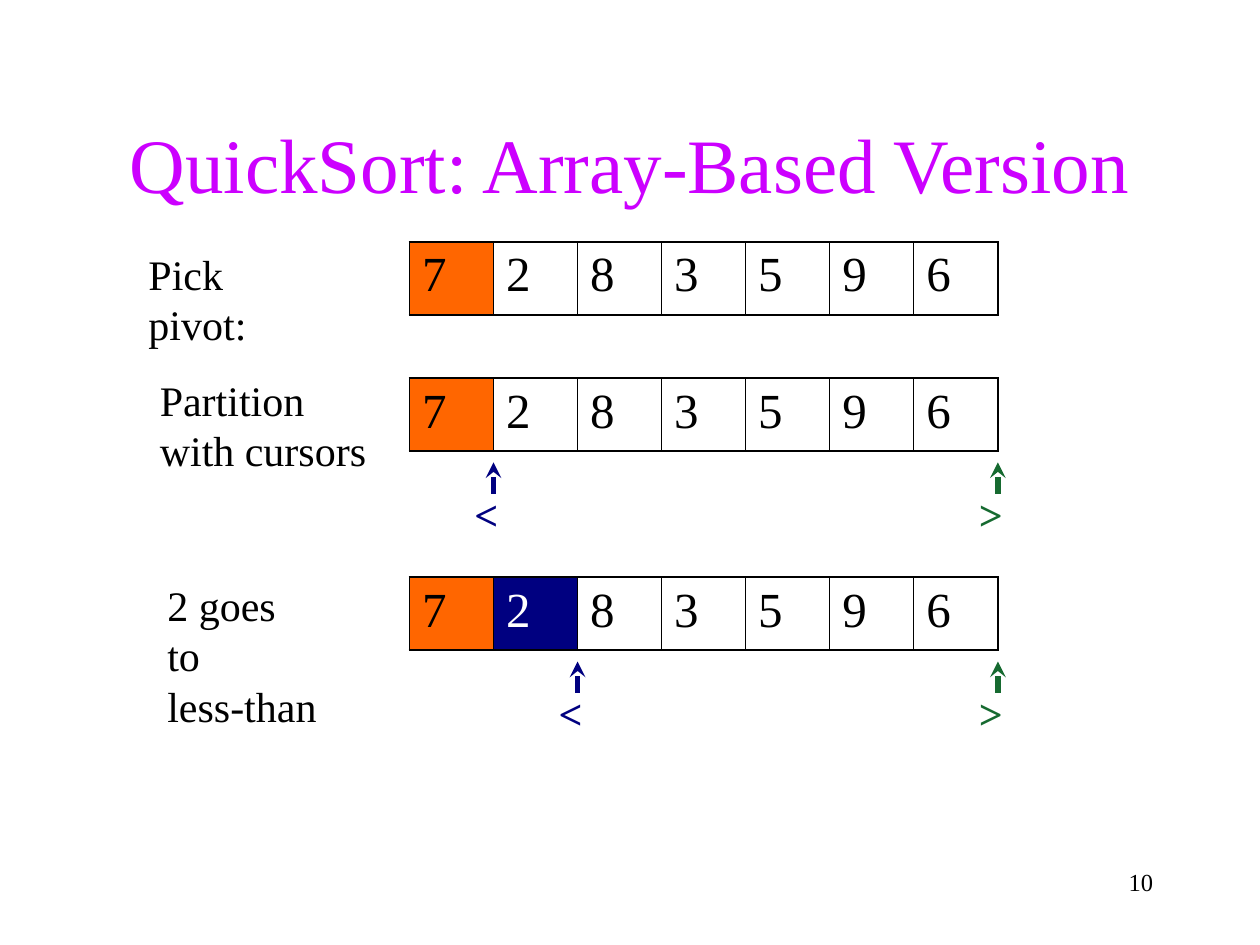
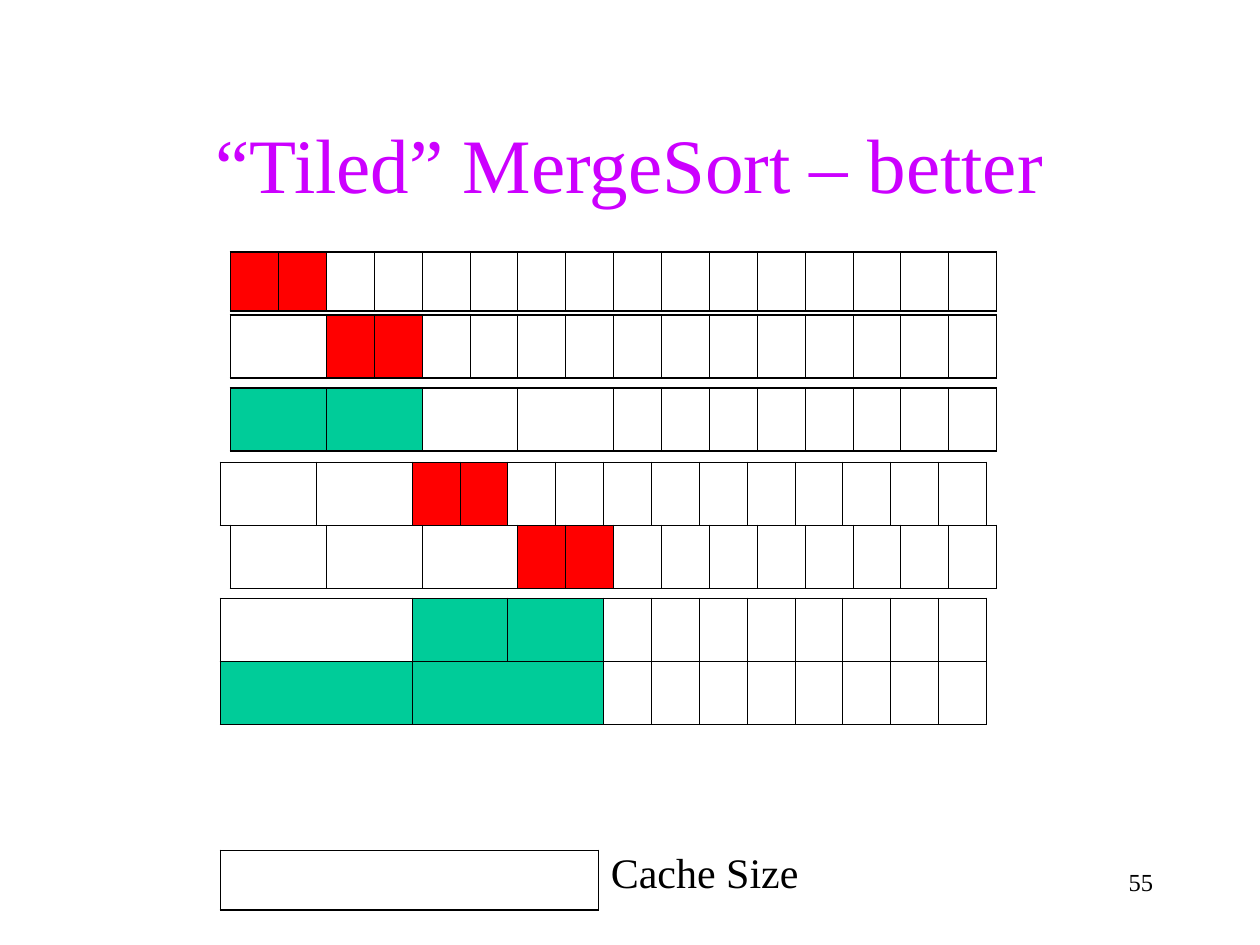
"""Build two slides on sorting arrays."""
import pptx
import pptx.dml.color
import pptx.enum.shapes
import pptx.enum.text
import pptx.oxml
import pptx.oxml.ns
import pptx.util
from lxml import etree

Inches = pptx.util.Inches
Align = pptx.enum.text.PP_ALIGN
FONT = "Times New Roman"
HUES = {
    "title": "CC00FF", "ink": "000000", "paper": "FFFFFF",
    "pivot": "FF6600", "less": "000080", "more": "166A30",
    "read": "FF0000", "merge": "00CC99",
}
THICK, THIN = 1.08, 0.45
DIGITS = "7283596"
LEFT, SPAN = 3.25, 4.67
STEP = SPAN / len(DIGITS)
TILES, TILE = 16, 0.38


def color(name):
    """Return the named colour."""
    return pptx.dml.color.RGBColor.from_string(HUES[name])


def style(para, size, hue="ink", bold=False, align=None):
    """Set the font and alignment of a paragraph."""
    font = para.font
    font.name, font.size, font.bold = FONT, pptx.util.Pt(size), bold
    font.color.rgb = color(hue)
    para.alignment = align


def add_slide(deck, title, number):
    """Add a slide with its title and page number."""
    slide = deck.slides.add_slide(deck.slide_layouts[5])
    head = slide.shapes.title
    head.left, head.top = Inches(0.75), Inches(0.67)
    head.width, head.height = Inches(8.5), Inches(1.25)
    frame = head.text_frame
    frame.text = title
    frame.auto_size = pptx.enum.text.MSO_AUTO_SIZE.NONE
    frame.vertical_anchor = pptx.enum.text.MSO_ANCHOR.MIDDLE
    style(frame.paragraphs[0], 44, "title", align=Align.CENTER)
    add_text(slide, (7.17, 6.83, 2.08, 0.5), str(number), 14,
             align=Align.RIGHT, wrap=True)
    return slide


def add_text(slide, place, text, size=24, hue="ink", bold=False,
             align=Align.LEFT, wrap=False):
    """Add a text box with one paragraph a line."""
    frame = slide.shapes.add_textbox(*map(Inches, place)).text_frame
    frame.word_wrap = wrap
    frame.text = text
    for para in frame.paragraphs:
        style(para, size, hue, bold, align)


def add_edge(cell, side, width):
    """Draw one border of a cell."""
    props = cell._tc.get_or_add_tcPr()
    line = etree.SubElement(props, pptx.oxml.ns.qn("a:ln" + side),
                            w=str(pptx.util.Pt(width)))
    fill = etree.SubElement(line, pptx.oxml.ns.qn("a:solidFill"))
    etree.SubElement(fill, pptx.oxml.ns.qn("a:srgbClr"), val=HUES["ink"])


def add_array(slide, left, top, height, widths, fills, text=""):
    """Add a one-row table with some cells filled."""
    count = len(widths)
    place = map(Inches, (left, top, sum(widths), height))
    table = slide.shapes.add_table(1, count, *place).table
    table.first_row = table.horz_banding = False
    for index, width in enumerate(widths):
        table.columns[index].width = Inches(width)
        cell = table.cell(0, index)
        add_edge(cell, "L", THIN if index else THICK)
        add_edge(cell, "R", THIN if index < count - 1 else THICK)
        add_edge(cell, "T", THICK)
        add_edge(cell, "B", THICK)
        hue = fills.get(index, "paper")
        cell.fill.solid()
        cell.fill.fore_color.rgb = color(hue)
        if text:
            cell.text = text[index]
            ink = "paper" if hue == "less" else "ink"
            style(cell.text_frame.paragraphs[0], 28, ink)


def add_cursor(slide, slot, top, sign, hue):
    """Add an arrow and its sign below an array slot."""
    x = LEFT + slot * STEP
    ends = map(Inches, (x, top + 0.67, x, top + 0.92))
    kind = pptx.enum.shapes.MSO_CONNECTOR.STRAIGHT
    arrow = slide.shapes.add_connector(kind, *ends)
    arrow.line.color.rgb = color(hue)
    arrow.line.width = pptx.util.Pt(3)
    etree.SubElement(arrow.line._get_or_add_ln(),
                     pptx.oxml.ns.qn("a:headEnd"), type="stealth")
    etree.SubElement(arrow._element.spPr, pptx.oxml.ns.qn("a:effectLst"))
    add_text(slide, (x - 0.25, top + 0.83, 0.39, 0.5), sign, 24, hue, True)


def draw_quick(deck):
    """Draw the first steps of the partition."""
    slide = add_slide(deck, "QuickSort: Array-Based Version", 10)
    steps = [
        (1.92, "Pick pivot:", (1.08, 1.92, 1.65, 0.5), None),
        (3, "Partition\nwith cursors", (1.17, 2.92, 1.84, 0.9), 1),
        (4.58, "2 goes to\nless-than", (1.23, 4.55, 1.4, 0.9), 2),
    ]
    for top, label, place, slot in steps:
        fills = {0: "pivot"}
        if slot == 2:
            fills[1] = "less"
        add_array(slide, LEFT, top, 0.58, [STEP] * len(DIGITS), fills, DIGITS)
        add_text(slide, place, label)
        if slot:
            add_cursor(slide, slot, top, "<", "less")
            add_cursor(slide, len(DIGITS), top, ">", "more")


def draw_merge(deck):
    """Draw the tiled merge passes and the cache."""
    slide = add_slide(deck, "“Tiled” MergeSort – better", 55)
    passes = [
        (1.83, 2, 0.47, [], 0, "read"),
        (1.83, 2.5, 0.5, [2], 1, "read"),
        (1.83, 3.08, 0.5, [2] * 4, 0, "merge"),
        (1.75, 3.67, 0.5, [2] * 2, 2, "read"),
        (1.83, 4.17, 0.5, [2] * 3, 3, "read"),
        (1.75, 4.75, 0.5, [4, 2, 2], 1, "merge"),
        (1.75, 5.25, 0.5, [4, 4], 0, "merge"),
    ]
    for left, top, height, runs, first, hue in passes:
        sizes = runs + [1] * (TILES - sum(runs))
        widths = [size * TILE for size in sizes]
        fills = {first: hue, first + 1: hue}
        add_array(slide, left, top, height, widths, fills)
    add_array(slide, 1.75, 6.75, 0.47, [3], {})
    add_text(slide, (4.75, 6.67, 1.69, 0.5), "Cache Size")


def main():
    """Build and save the deck."""
    deck = pptx.Presentation()
    deck.slide_width, deck.slide_height = Inches(10), Inches(7.5)
    draw_quick(deck)
    draw_merge(deck)
    deck.save("out.pptx")


if __name__ == "__main__":
    main()
